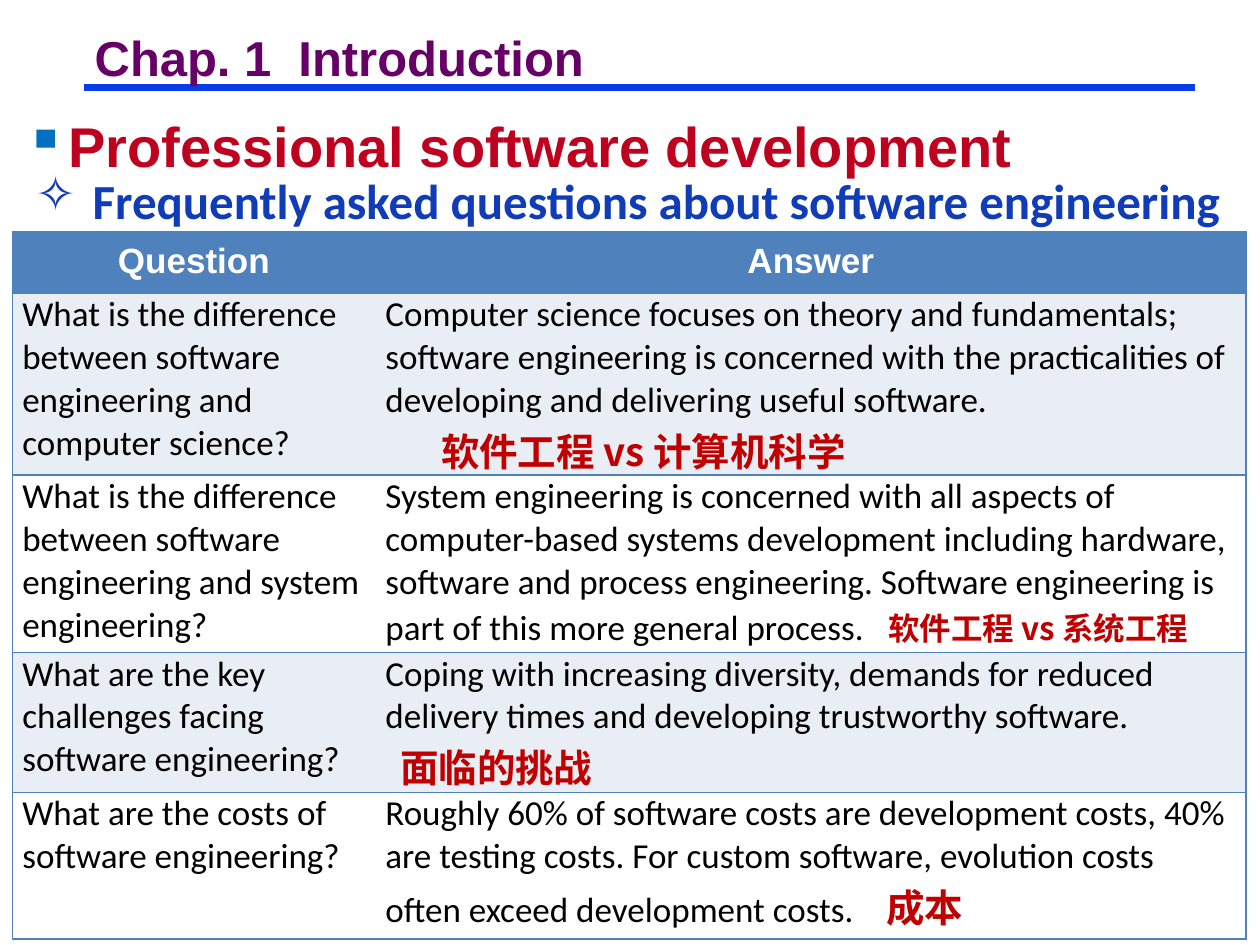
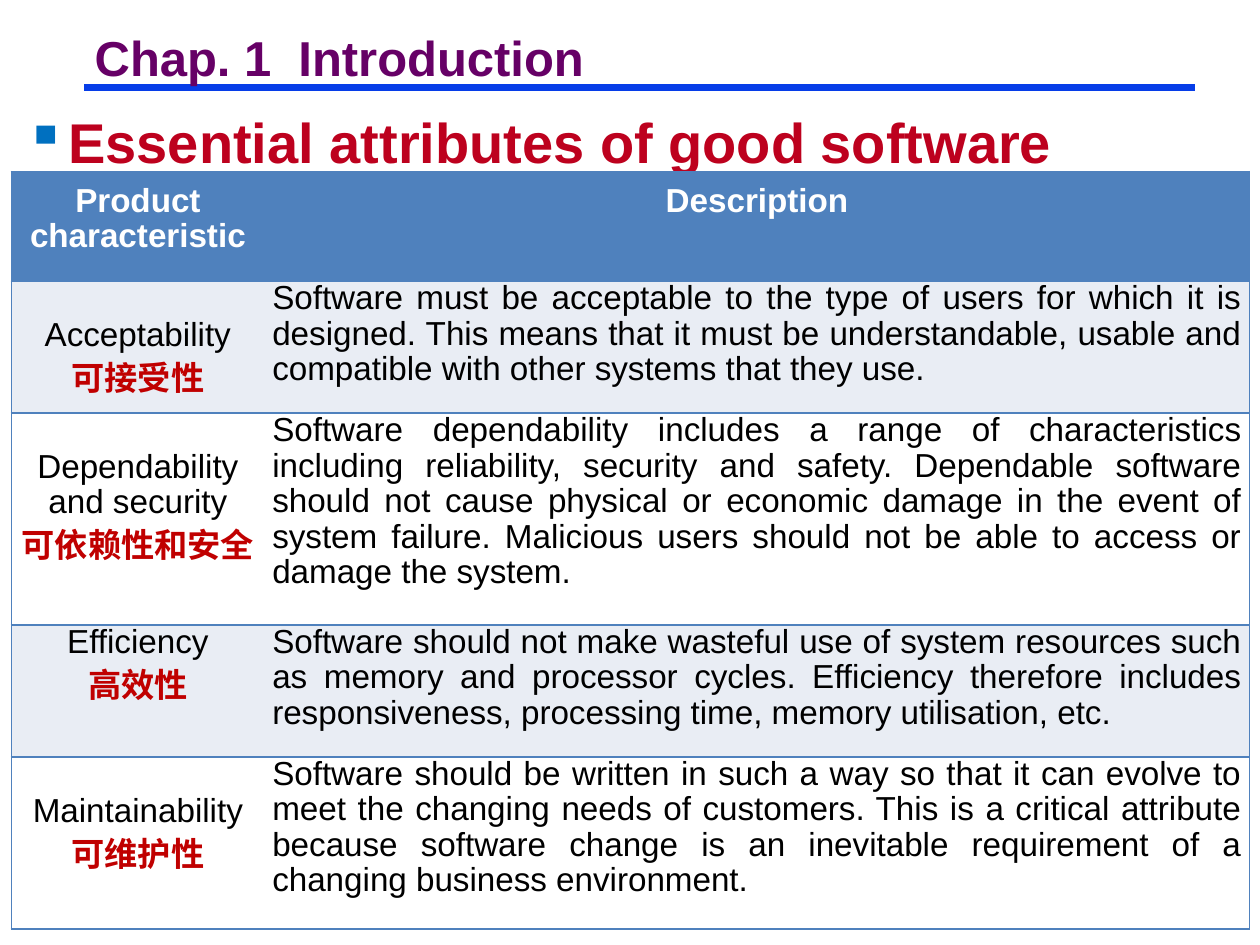
from dataclasses import dataclass

from lxml import etree
from pptx import Presentation
from pptx.dml.color import RGBColor
from pptx.enum.shapes import MSO_CONNECTOR
from pptx.enum.text import MSO_ANCHOR, PP_ALIGN
from pptx.oxml.ns import qn
from pptx.util import Cm, Pt

LEFT, CENTER, JUSTIFY = PP_ALIGN.LEFT, PP_ALIGN.CENTER, PP_ALIGN.JUSTIFY
TOP = MSO_ANCHOR.TOP
STRAIGHT = MSO_CONNECTOR.STRAIGHT
BLANK_LAYOUT = 6
CHINESE_FONT = "Noto Sans CJK SC"


@dataclass
class Line:
    """A paragraph of a table cell, with an optional Chinese key term."""
    text: str = ""
    term: str = ""
    term_size: float = 19
    indent: float = 0
    tab: float = 0


@dataclass
class TableStyle:
    font: str
    size: float
    aligns: tuple
    side_margin: float
    header_margin: float
    bottom_margin: float
    spacing: float = 1.0


def color(value):
    return RGBColor.from_string(value)


def write(paragraph, text, font="Arial", size=20, fill="000000", bold=False):
    """Add one formatted run to a paragraph."""
    run = paragraph.add_run()
    run.text = text
    run.font.name, run.font.size, run.font.bold = font, Pt(size), bold
    run.font.color.rgb = color(fill)
    if font == CHINESE_FONT:
        etree.SubElement(run.font._element, qn("a:ea"), typeface=font)


def set_indent(paragraph, left, first=0):
    properties = paragraph._p.get_or_add_pPr()
    properties.set("marL", str(Cm(left)))
    properties.set("indent", str(Cm(first)))
    return properties


def set_bullet(paragraph, character, fill, indent):
    properties = set_indent(paragraph, indent, -indent)
    bullet_color = etree.SubElement(properties, qn("a:buClr"))
    etree.SubElement(bullet_color, qn("a:srgbClr"), val=fill)
    etree.SubElement(properties, qn("a:buChar"), char=character)


def set_tab(paragraph, position):
    tabs = etree.SubElement(paragraph._p.get_or_add_pPr(), qn("a:tabLst"))
    etree.SubElement(tabs, qn("a:tab"), pos=str(Cm(position)), algn="l")


def set_borders(cell, fill, sides):
    """Draw the named sides of a cell and clear the others."""
    properties = cell._tc.get_or_add_tcPr()
    for index, side in enumerate("LRTB"):
        border = etree.Element(qn(f"a:ln{side}"), w=str(Pt(1)))
        if side in sides:
            solid = etree.SubElement(border, qn("a:solidFill"))
            etree.SubElement(solid, qn("a:srgbClr"), val=fill)
        else:
            etree.SubElement(border, qn("a:noFill"))
        properties.insert(index, border)


class Deck:
    PURPLE, RULE, RED, BLUE = "660066", "063DE8", "BD011E", "113CB7"
    BULLET, TERM = "0070C0", "C00000"
    HEADER, WHITE, BAND = "4F81BD", "FFFFFF", "E9EDF4"

    def __init__(self):
        self.presentation = Presentation()
        self.presentation.slide_width = Cm(25.4)
        self.presentation.slide_height = Cm(19.05)
        self.slide = None

    def add_slide(self, heading, heading_top):
        layout = self.presentation.slide_layouts[BLANK_LAYOUT]
        self.slide = self.presentation.slides.add_slide(layout)
        self.rule()
        self.heading(heading, heading_top)
        self.chapter_title("Chap. 1  Introduction")

    def rule(self):
        line = self.slide.shapes.add_connector(
            STRAIGHT, Cm(1.7), Cm(1.76), Cm(24.08), Cm(1.76))
        line.line.color.rgb = color(self.RULE)
        line.line.width = Pt(3.75)
        etree.SubElement(line._element.spPr, qn("a:effectLst"))

    def text_box(self, left, top, width, height, inset_top, inset_left=0.25):
        shape = self.slide.shapes.add_textbox(
            Cm(left), Cm(top), Cm(width), Cm(height))
        frame = shape.text_frame
        frame.word_wrap, frame.vertical_anchor = True, TOP
        frame.margin_left = frame.margin_right = Cm(inset_left)
        frame.margin_top, frame.margin_bottom = Cm(inset_top), Cm(0)
        return frame

    def chapter_title(self, text):
        frame = self.text_box(1.73, 0.56, 10.24, 1.17, 0.15, 0.18)
        frame.word_wrap = False
        paragraph = frame.paragraphs[0]
        paragraph.line_spacing = 0.87
        write(paragraph, text, size=28, fill=self.PURPLE, bold=True)

    def heading(self, text, top):
        paragraph = self.text_box(0.25, top, 24.94, 1.47, 0.23).paragraphs[0]
        set_bullet(paragraph, "▪", self.BULLET, 0.88)
        write(paragraph, text, size=32, fill=self.RED, bold=True)

    def subheading(self, text):
        paragraph = self.text_box(0.46, 3.25, 24.59, 1.47, 0.18).paragraphs[0]
        set_bullet(paragraph, "✧", self.BLUE, 1.16)
        write(paragraph, text, font="Calibri", size=28, fill=self.BLUE,
              bold=True)

    def table(self, left, top, widths, heights, header, rows, style):
        table = self.slide.shapes.add_table(
            len(heights), len(widths), Cm(left), Cm(top),
            Cm(sum(widths)), Cm(sum(heights))).table
        for column, width in zip(table.columns, widths):
            column.width = Cm(width)
        for row, height in zip(table.rows, heights):
            row.height = Cm(height)
        # Header row
        for column, text in enumerate(header):
            cell = self.cell(table, 0, column, self.HEADER, style,
                             style.header_margin, style.header_margin)
            paragraph = cell.text_frame.paragraphs[0]
            paragraph.alignment = CENTER
            paragraph.line_spacing = style.spacing
            write(paragraph, text, size=style.size, fill=self.WHITE, bold=True)
        # Body rows, with alternate bands
        for index, (label_top, *contents) in enumerate(rows, start=1):
            band = self.BAND if index % 2 else self.WHITE
            for column, lines in enumerate(contents):
                cell = self.cell(table, index, column, band, style,
                                 0 if column else label_top,
                                 style.bottom_margin)
                self.fill_cell(cell, lines, style, style.aligns[column])

    def cell(self, table, row, column, fill, style, top, bottom):
        cell = table.cell(row, column)
        cell.fill.solid()
        cell.fill.fore_color.rgb = color(fill)
        cell.vertical_anchor = TOP
        cell.margin_left = cell.margin_right = Cm(style.side_margin)
        cell.margin_top, cell.margin_bottom = Cm(top), Cm(bottom)
        set_borders(cell, self.HEADER, "RTB" if column else "LTB")
        return cell

    def fill_cell(self, cell, lines, style, align):
        frame = cell.text_frame
        for number, line in enumerate(lines):
            paragraph = frame.add_paragraph() if number else frame.paragraphs[0]
            paragraph.alignment = align
            paragraph.line_spacing = style.spacing
            if line.indent:
                set_indent(paragraph, line.indent)
            if line.tab:
                set_tab(paragraph, line.tab)
            if line.text:
                text = line.text + ("\t" if line.tab else "")
                write(paragraph, text, font=style.font, size=style.size)
            if line.term:
                write(paragraph, line.term, font=CHINESE_FONT,
                      size=line.term_size, fill=self.TERM, bold=True)


def questions_slide(deck):
    deck.add_slide("Professional software development", 2.01)
    deck.subheading("Frequently asked questions about software engineering")
    rows = [
        (0, [Line("What is the difference between software engineering and "
                  "computer science?")],
         [Line("Computer science focuses on theory and fundamentals; software "
               "engineering is concerned with the practicalities of "
               "developing and delivering useful software."),
          Line(term="软件工程 vs 计算机科学", term_size=22, indent=1.12)]),
        (0, [Line("What is the difference between software engineering and "
                  "system engineering?")],
         [Line("System engineering is concerned with all aspects of "
               "computer-based systems development including hardware, "
               "software and process engineering. Software engineering is "
               "part of this more general process.",
               "软件工程 vs 系统工程", 18, tab=10.14)]),
        (0, [Line("What are the key challenges facing software engineering?")],
         [Line("Coping with increasing diversity, demands for reduced "
               "delivery times and developing trustworthy software."),
          Line(term="面临的挑战", term_size=22, indent=0.3)]),
        (0, [Line("What are the costs of software engineering?")],
         [Line("Roughly 60% of software costs are development costs, 40% are "
               "testing costs. For custom software, evolution costs often "
               "exceed development costs.", "成本", 22, tab=10.1)]),
    ]
    style = TableStyle("Calibri", 20, (LEFT, LEFT), 0.2, 0.2, 0.18)
    deck.table(0.25, 4.67, (7.32, 17.55), (1.24, 3.66, 3.58, 2.82, 2.95),
               ("Question", "Answer"), rows, style)


def attributes_slide(deck):
    deck.add_slide("Essential attributes of good software", 1.93)
    lowered = 0.74  # one text line
    rows = [
        (lowered, [Line("Acceptability"), Line(term="可接受性")],
         [Line("Software must be acceptable to the type of users for which it "
               "is designed. This means that it must be understandable, "
               "usable and compatible with other systems that they use.")]),
        (lowered, [Line("Dependability and security"),
                   Line(term="可依赖性和安全")],
         [Line("Software dependability includes a range of characteristics "
               "including reliability, security and safety. Dependable "
               "software should not cause physical or economic damage in the "
               "event of system failure. Malicious users should not be able "
               "to access or damage the system.")]),
        (0, [Line("Efficiency"), Line(term="高效性")],
         [Line("Software should not make wasteful use of system resources "
               "such as memory and processor cycles. Efficiency therefore "
               "includes responsiveness, processing time, memory "
               "utilisation, etc.")]),
        (lowered, [Line("Maintainability"), Line(term="可维护性")],
         [Line("Software should be written in such a way so that it can "
               "evolve to meet the changing needs of customers. This is a "
               "critical attribute because software change is an inevitable "
               "requirement of a changing business environment.")]),
    ]
    style = TableStyle("Arial", 19, (CENTER, JUSTIFY), 0.16, 0.25, 0.25, 0.96)
    deck.table(0.23, 3.46, (5.1, 19.86), (2.21, 2.66, 4.27, 2.66, 3.47),
               ("Product characteristic", "Description"), rows, style)


def main():
    deck = Deck()
    questions_slide(deck)
    attributes_slide(deck)
    deck.presentation.save("out.pptx")


if __name__ == "__main__":
    main()
